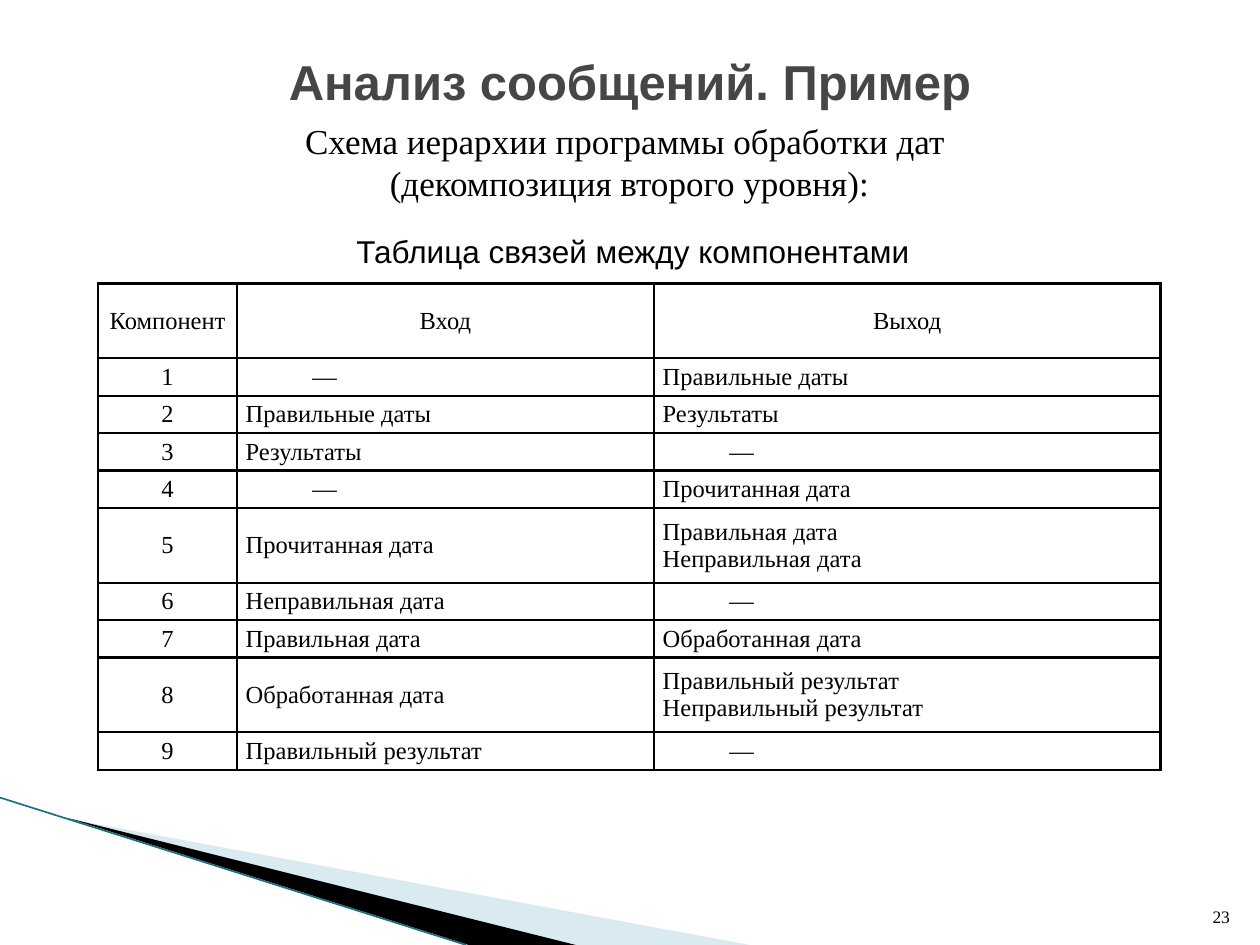
from lxml.etree import SubElement
from pptx import Presentation
from pptx.dml.color import RGBColor
from pptx.enum.shapes import MSO_CONNECTOR
from pptx.enum.text import MSO_ANCHOR, PP_ALIGN
from pptx.oxml import parse_xml
from pptx.oxml.ns import nsdecls, qn
from pptx.util import Inches, Pt

SERIF = "Times New Roman"
SANS = "Arial"
MID = PP_ALIGN.CENTER
DASH = "—"
COLS = [1.1, 3.31, 4.02]
ROWS = [
    ("Компонент", "Вход", "Выход"),
    ("1", DASH, "Правильные даты"),
    ("2", "Правильные даты", "Результаты"),
    ("3", "Результаты", DASH),
    ("4", DASH, "Прочитанная дата"),
    ("5", "Прочитанная дата", "Правильная дата\nНеправильная дата"),
    ("6", "Неправильная дата", DASH),
    ("7", "Правильная дата", "Обработанная дата"),
    ("8", "Обработанная дата", "Правильный результат\nНеправильный результат"),
    ("9", "Правильный результат", DASH),
]


def color(code):
    return RGBColor.from_string(code)


def apply(item, form):
    for name, value in form.items():
        setattr(item, name, value)


def write(frame, text, font, size, align, tone="000000", bold=False, **dents):
    frame.text = text
    for para in frame.paragraphs:
        para.alignment = align
        for name, gap in dents.items():
            para._p.get_or_add_pPr().set(name, str(Inches(gap)))
        for run in para.runs:
            apply(run.font, {"name": font, "size": Pt(size), "bold": bold})
            run.font.color.rgb = color(tone)


def label(slide, box, text, font, size, align, anchor, edge=0.05, **more):
    frame = slide.shapes.add_textbox(*map(Inches, box)).text_frame
    apply(frame, {
        "word_wrap": True,
        "vertical_anchor": anchor,
        "margin_top": Inches(edge),
        "margin_bottom": Inches(edge),
    })
    write(frame, text, font, size, align, **more)


def wedge(slide, x, y, points, tone, alpha=100):
    spots = [(Inches(x + px), Inches(y + py)) for px, py in points]
    form = slide.shapes.build_freeform(*spots[0])
    form.add_line_segments(spots[1:], close=True)
    shape = form.convert_to_shape()
    shape.shadow.inherit = False
    shape.line.fill.background()
    shape.fill.solid()
    shape.fill.fore_color.rgb = color(tone)
    if alpha < 100:
        fill = shape.fill._xPr.find(qn("a:solidFill"))
        SubElement(fill[0], qn("a:alpha"), val=str(alpha * 1000))


def corner(slide, x, y, w, h):
    wedge(slide, x, y, [(0.55, 0.17), (w, h), (4.56, h)], "A0CBDC", 40)
    wedge(slide, x, y, [(0.53, 0.16), (4.57, h), (3.72, h)], "000000")
    ends = map(Inches, (x, y, x + 3.7, y + h))
    line = slide.shapes.add_connector(MSO_CONNECTOR.STRAIGHT, *ends)
    line.line.width = Pt(0.95)
    line.line.color.rgb = color("1C7085")
    SubElement(line._element.spPr, qn("a:effectLst"))


def border(cell):
    props = cell._tc.get_or_add_tcPr()
    for spot, side in enumerate("LRTB"):
        props.insert(spot, parse_xml(
            f'<a:ln{side} {nsdecls("a")} w="{Pt(1.5)}"><a:solidFill>'
            f'<a:srgbClr val="000000"/></a:solidFill></a:ln{side}>'
        ))


def links(slide, x, y, w, h):
    area = map(Inches, (x, y, w, h))
    table = slide.shapes.add_table(len(ROWS), len(COLS), *area).table
    apply(table, {"first_row": False, "horz_banding": False})
    for col, width in zip(table.columns, COLS):
        col.width = Inches(width)
    tall = [i == 0 or "\n" in row[2] for i, row in enumerate(ROWS)]
    unit = h / (len(ROWS) + sum(tall))
    for i, row in enumerate(ROWS):
        table.rows[i].height = Inches(unit * (1 + tall[i]))
        for j, text in enumerate(row):
            cell = table.cell(i, j)
            apply(cell, {
                "margin_left": Inches(0.07),
                "margin_right": Inches(0.07),
                "margin_top": 0,
                "margin_bottom": 0,
                "vertical_anchor": MSO_ANCHOR.MIDDLE,
            })
            cell.fill.background()
            border(cell)
            align = MID if i == 0 or j == 0 else PP_ALIGN.LEFT
            dents = {"marL": 0.53} if text == DASH else {}
            write(cell.text_frame, text, SERIF, 14, align, **dents)


def heads(slide, x, y, w):
    label(slide, (x, y, w, 0.69), "Анализ сообщений. Пример", SANS, 28,
          MID, MSO_ANCHOR.MIDDLE, tone="464646", bold=True)
    label(slide, (x - 0.15, y + 0.6, w + 0.29, 0.77),
          "Схема иерархии программы обработки дат \n"
          "(декомпозиция второго уровня):",
          SERIF, 20, MID, MSO_ANCHOR.TOP)
    label(slide, (x + 1.74, y + 1.54, 5.12, 0.35),
          "Таблица связей между компонентами", SANS, 18,
          PP_ALIGN.LEFT, MSO_ANCHOR.TOP, edge=0, indent=0.49)


def main():
    deck = Presentation()
    apply(deck, {"slide_width": Inches(10), "slide_height": Inches(7.5)})
    slide = deck.slides.add_slide(deck.slide_layouts[6])
    corner(slide, 0, 6.33, 5.95, 1.17)
    label(slide, (9.46, 7.01, 0.4, 0.4), "23", SERIF, 10,
          PP_ALIGN.RIGHT, MSO_ANCHOR.BOTTOM)
    heads(slide, 0.5, 0.3, 9)
    links(slide, 0.78, 2.25, sum(COLS), 3.86)
    deck.save("out.pptx")


if __name__ == "__main__":
    main()
